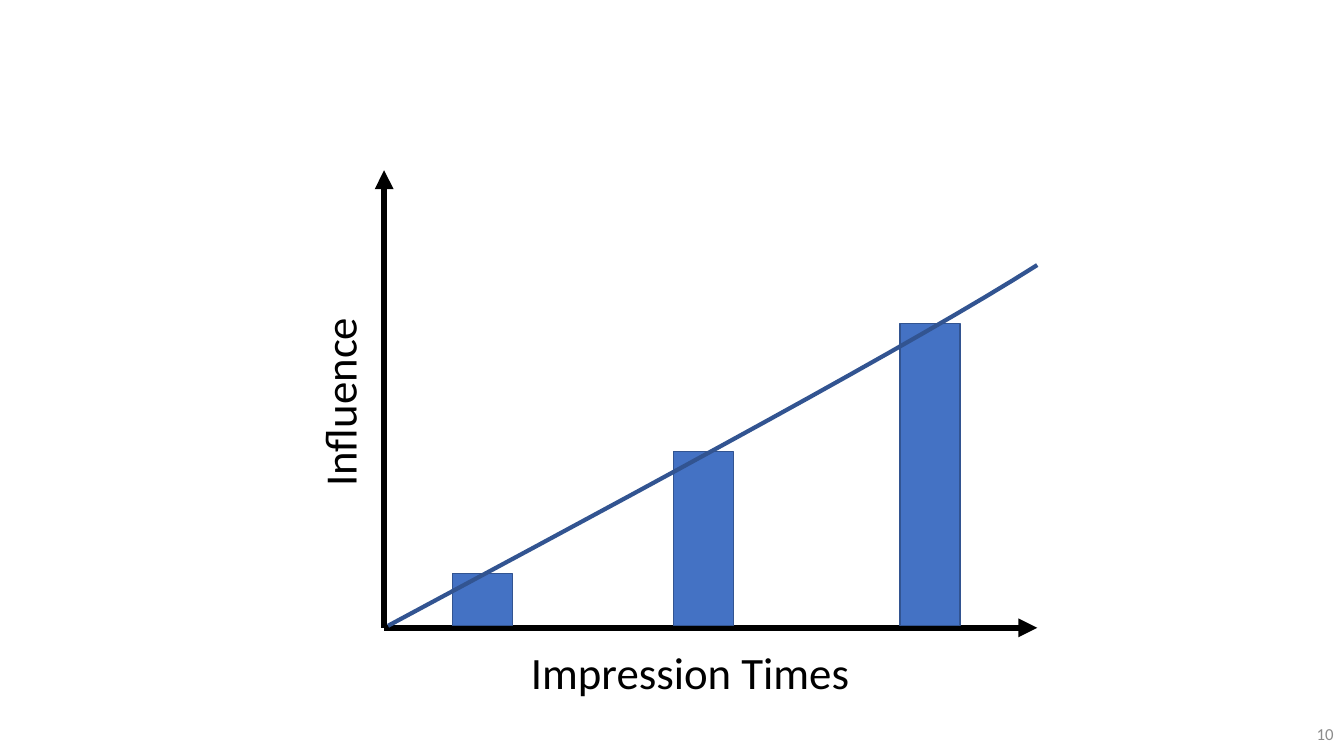
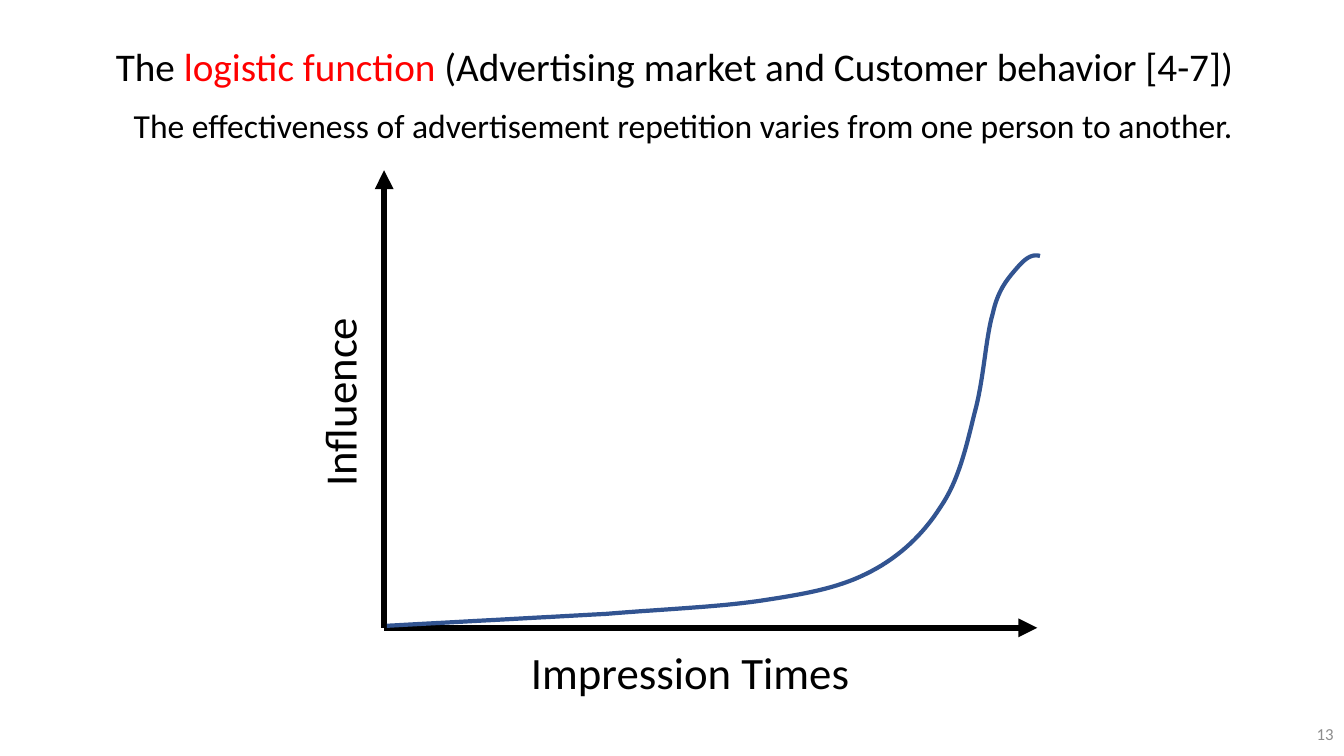
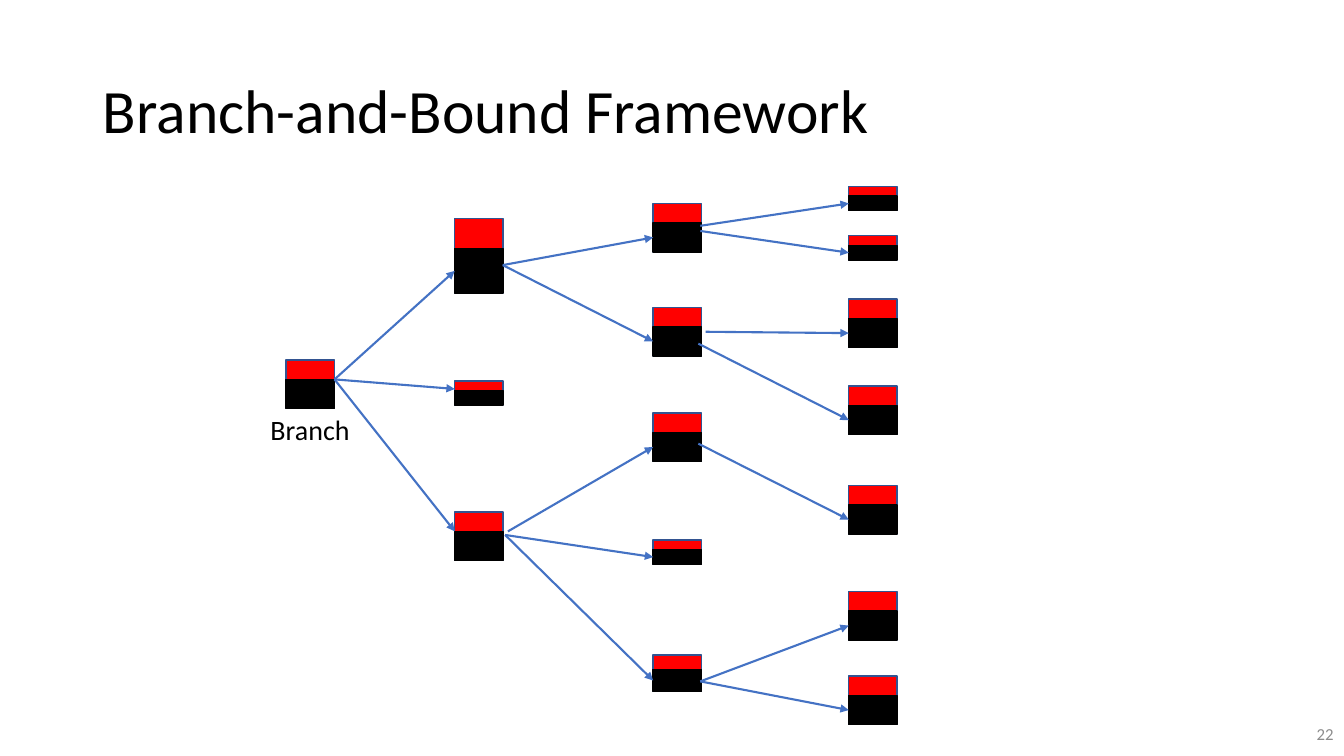
from dataclasses import dataclass
from math import comb
from typing import Optional

from pptx import Presentation
from pptx.dml.color import RGBColor
from pptx.enum.shapes import MSO_CONNECTOR, MSO_SHAPE
from pptx.enum.text import MSO_ANCHOR, PP_ALIGN
from pptx.oxml.ns import qn
from pptx.util import Cm, Pt


@dataclass(frozen=True)
class Theme:
    font: str = "Calibri"
    ink: str = "000000"
    accent: str = "FF0000"
    blue: str = "4472C4"
    dark_blue: str = "325491"
    grey: str = "8C8C8C"
    title: int = 44
    axis_label: int = 32
    heading: int = 28
    subheading: int = 24
    node_label: int = 20
    page_number: int = 12
    outline: float = 1
    arrow: float = 1.5
    curve: float = 3
    axis: float = 4.5


@dataclass(frozen=True)
class Node:
    """A box of the search tree; tail is where its incoming arrow starts."""
    column: int
    top: float
    height: float
    tail: Optional[tuple] = None
    entry: float = 0.7


LEFT, CENTER, RIGHT = PP_ALIGN.LEFT, PP_ALIGN.CENTER, PP_ALIGN.RIGHT
TOP, MIDDLE = MSO_ANCHOR.TOP, MSO_ANCHOR.MIDDLE

TITLE_ONLY, BLANK = 5, 6

# Axes and curves, in cm
ORIGIN = (9.68, 15.82)
AXIS_ENDS = [(9.68, 4.29), (26.14, 15.82)]
BASELINE, BAR_WIDTH = 15.77, 1.51
BARS = [(11.4, 14.45), (16.97, 11.38), (22.68, 8.15)]
LINEAR_START = (9.78, 15.77)
LINEAR = [[(16.46, 12.19), (23.14, 8.59), (26.14, 6.68)]]
LOGISTIC_START = (9.75, 15.77)
LOGISTIC = [
    [(15.27, 15.47)],
    [(16.87, 15.34), (18.26, 15.29), (19.35, 15.11)],
    [(20.48, 14.94), (21.23, 14.78), (21.95, 14.4)],
    [(22.68, 14.02), (23.27, 13.46), (23.7, 12.78)],
    [(24.16, 12.12), (24.36, 11.23), (24.56, 10.41)],
    [(24.79, 9.6), (24.84, 8.51), (25.02, 7.9)],
    [(25.15, 7.32), (25.37, 7.06), (25.58, 6.81)],
    [(25.78, 6.58), (25.96, 6.38), (26.21, 6.45)],
]

# Search tree, in cm
COLUMNS = [7.21, 11.46, 16.46, 21.39]
NODE_WIDTH, RED_SHARE = 1.22, 0.4
TALL, FULL, LOW, HALF = 1.88, 1.22, 0.91, 0.61
ROOT_EXIT, UPPER_EXIT, LOWER_EXIT = (8.43, 9.56), (12.67, 6.68), (12.73, 13.48)
LAST_EXIT = (17.65, 17.17)
TREE = [
    Node(0, 9.07, FULL),
    Node(1, 5.51, TALL, ROOT_EXIT),
    Node(1, 9.6, HALF, ROOT_EXIT, 0.33),
    Node(1, 12.9, FULL, ROOT_EXIT, 0.4),
    Node(2, 5.13, FULL, UPPER_EXIT),
    Node(2, 7.75, FULL, UPPER_EXIT),
    Node(2, 10.41, FULL, (12.8, 13.39)),
    Node(2, 13.61, HALF, LOWER_EXIT),
    Node(2, 16.51, LOW, LOWER_EXIT),
    Node(3, 4.7, HALF, (17.65, 5.69)),
    Node(3, 5.94, HALF, (17.65, 5.82)),
    Node(3, 7.54, FULL, (17.78, 8.36)),
    Node(3, 9.73, FULL, (17.6, 8.66)),
    Node(3, 12.24, FULL, (17.6, 11.18)),
    Node(3, 14.91, FULL, LAST_EXIT),
    Node(3, 17.04, FULL, LAST_EXIT),
]


def bezier(points, steps=16):
    """Points along a Bezier curve of any degree, without its start."""
    degree = len(points) - 1
    for step in range(1, steps + 1):
        t = step / steps
        weights = [comb(degree, i) * t**i * (1 - t)**(degree - i)
                   for i in range(degree + 1)]
        yield tuple(sum(w * p[axis] for w, p in zip(weights, points))
                    for axis in (0, 1))


class Deck:
    def __init__(self, theme):
        self.theme = theme
        self.prs = Presentation()
        self.prs.slide_width, self.prs.slide_height = Cm(33.87), Cm(19.05)
        self.slide = None

    def new_slide(self, layout, number):
        self.slide = self.prs.slides.add_slide(self.prs.slide_layouts[layout])
        self.text((26.24, 17.98, 7.62, 1.02), [(number, self.theme.grey)],
                  self.theme.page_number, RIGHT, MIDDLE)

    def fill_text(self, shape, runs, size, align, anchor):
        """Fill a shape with one paragraph of (text, colour) runs."""
        frame = shape.text_frame
        frame.word_wrap = True
        frame.vertical_anchor = anchor
        paragraph = frame.paragraphs[0]
        paragraph.alignment = align
        for content, color in runs:
            run = paragraph.add_run()
            run.text = content
            run.font.name = self.theme.font
            run.font.size = Pt(size)
            run.font.color.rgb = RGBColor.from_string(color)
        return paragraph

    def text(self, box, runs, size, align=CENTER, anchor=TOP, rotation=0):
        label = self.slide.shapes.add_textbox(*map(Cm, box))
        label.rotation = rotation
        self.fill_text(label, runs, size, align, anchor)

    def title(self, box, runs, size, align=LEFT, anchor=MIDDLE, spacing=0.9):
        title = self.slide.shapes.title
        title.left, title.top, title.width, title.height = map(Cm, box)
        paragraph = self.fill_text(title, runs, size, align, anchor)
        paragraph.line_spacing = spacing

    def stroke(self, line, color, width):
        line.color.rgb = RGBColor.from_string(color)
        line.width = Pt(width)

    def box(self, left, top, width, height, fill, outline):
        rect = self.slide.shapes.add_shape(
            MSO_SHAPE.RECTANGLE, Cm(left), Cm(top), Cm(width), Cm(height))
        rect.shadow.inherit = False
        rect.fill.solid()
        rect.fill.fore_color.rgb = RGBColor.from_string(fill)
        self.stroke(rect.line, outline, self.theme.outline)

    def arrow(self, start, end, color, width):
        arrow = self.slide.shapes.add_connector(
            MSO_CONNECTOR.STRAIGHT, *map(Cm, (*start, *end)))
        self.stroke(arrow.line, color, width)
        properties = arrow._element.spPr
        line = properties.find(qn("a:ln"))
        line.append(line.makeelement(qn("a:tailEnd"), {"type": "triangle"}))
        properties.append(properties.makeelement(qn("a:effectLst"), {}))

    def curve(self, start, spans):
        outline = []
        corner = start
        for span in spans:
            outline += bezier([corner, *span])
            corner = span[-1]
        builder = self.slide.shapes.build_freeform(*map(Cm, start))
        builder.add_line_segments(
            [(Cm(x), Cm(y)) for x, y in outline], close=False)
        curve = builder.convert_to_shape()
        curve.shadow.inherit = False
        curve.fill.background()
        self.stroke(curve.line, self.theme.dark_blue, self.theme.curve)

    def axes(self):
        theme = self.theme
        for end in AXIS_ENDS:
            self.arrow(ORIGIN, end, theme.ink, theme.axis)
        self.text((4.55, 9.32, 8, 1.63), [("Influence", theme.ink)],
                  theme.axis_label, rotation=270)
        self.text((11.25, 16.13, 12.29, 1.63),
                  [("Impression Times", theme.ink)], theme.axis_label)

    def node(self, node):
        theme = self.theme
        left, red = COLUMNS[node.column], RED_SHARE * node.height
        self.box(left, node.top, NODE_WIDTH, node.height,
                 theme.accent, theme.dark_blue)
        self.box(left, node.top + red, NODE_WIDTH, node.height - red,
                 theme.ink, theme.ink)
        if node.tail:
            self.arrow(node.tail, (left, node.top + node.entry * node.height),
                       theme.blue, theme.arrow)


def linear_slide(deck):
    deck.new_slide(BLANK, "10")
    deck.axes()
    for left, top in BARS:
        deck.box(left, top, BAR_WIDTH, BASELINE - top,
                 deck.theme.blue, deck.theme.dark_blue)
    deck.curve(LINEAR_START, LINEAR)


def logistic_slide(deck):
    theme = deck.theme
    deck.new_slide(TITLE_ONLY, "13")
    deck.axes()
    deck.title(
        (1.83, 0.94, 30.33, 1.45),
        [("The ", theme.ink), ("logistic function", theme.accent),
         (" (Advertising market and Customer behavior [4-7])", theme.ink)],
        theme.heading, CENTER, TOP, 1.0)
    deck.curve(LOGISTIC_START, LOGISTIC)
    deck.text(
        (3.12, 2.51, 29, 1.27),
        [("The effectiveness of advertisement repetition varies "
          "from one person to another.", theme.ink)],
        theme.subheading, LEFT)


def branch_slide(deck):
    theme = deck.theme
    deck.new_slide(TITLE_ONLY, "22")
    deck.title((2.34, 1.02, 29.2, 3.68),
               [("Branch-and-Bound Framework", theme.ink)], theme.title)
    for node in TREE:
        deck.node(node)
    deck.text((5.87, 10.26, 3.89, 1.12), [("Branch", theme.ink)],
              theme.node_label)


def main():
    deck = Deck(Theme())
    linear_slide(deck)
    logistic_slide(deck)
    branch_slide(deck)
    deck.prs.save("out.pptx")


if __name__ == "__main__":
    main()
